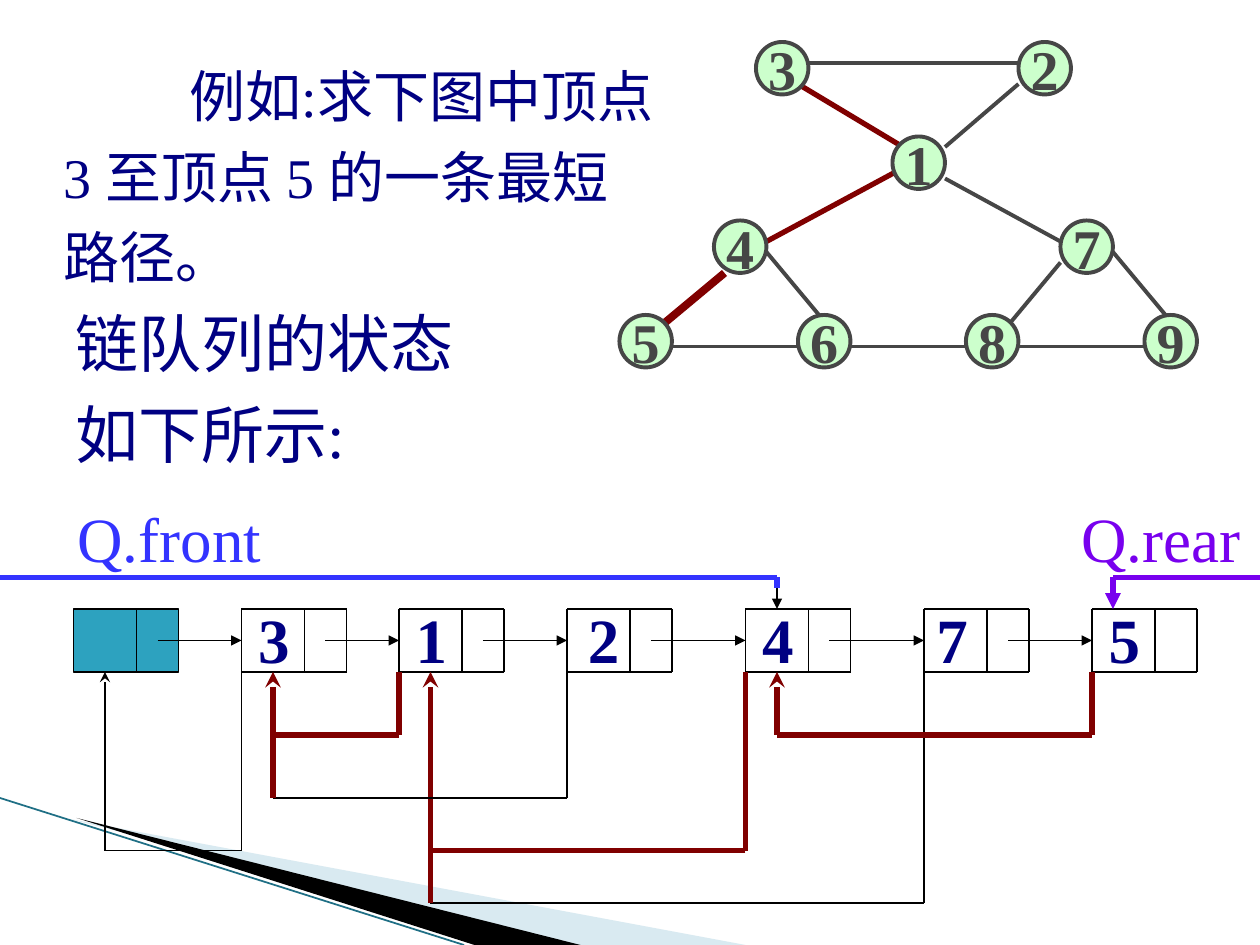
"""Shortest path in a graph, with the states of its linked queue."""
from dataclasses import dataclass
from itertools import pairwise

from lxml.etree import SubElement
from pptx import Presentation
from pptx.dml.color import RGBColor as RGB
from pptx.enum.shapes import MSO_CONNECTOR as Conn, MSO_SHAPE as Shape
from pptx.enum.text import MSO_ANCHOR as Anchor, PP_ALIGN as Align
from pptx.oxml.ns import qn
from pptx.util import Emu, Inches, Pt

UNIT = Inches(1) // 12
COLS, ROWS = 120, 90
CELL_W, CELL_H, DIVIDER, LINK = 10, 6, 6, 8
CELL_TOP = 58
CELL_COLS = (7, 23, 38, 54, 71, 88, 104)

Point = tuple[float, float]


@dataclass(frozen=True)
class Theme:
    font: str = "Times New Roman"
    navy: str = "000082"
    black: str = "000000"
    gray: str = "464646"
    red: str = "800000"
    blue: str = "3333FF"
    violet: str = "7800EE"
    mint: str = "CCFFCC"
    teal: str = "2DA2BF"
    pale: str = "A0CBDC"
    edge: str = "1F6F85"
    body: float = 32
    large: float = 36
    thin: float = 1
    medium: float = 2.25
    thick: float = 3
    heavy: float = 4.5


T = Theme()


@dataclass(frozen=True)
class Route:
    points: tuple[Point, ...]
    ink: str = T.black
    width: float = T.thin
    head: str | None = None


@dataclass(frozen=True)
class Node:
    label: str
    col: float
    row: float


@dataclass(frozen=True)
class Run:
    text: str
    ink: str = T.navy
    bold: bool = False


NODES = (Node("3", 72, 4), Node("2", 97, 4), Node("1", 85, 13),
         Node("4", 68, 21), Node("7", 101, 21), Node("5", 59, 30),
         Node("6", 76, 30), Node("8", 92, 30), Node("9", 109, 30))

PLAIN_EDGES = (((77, 6), (97, 6)), ((97, 8), (90, 14)), ((90, 17), (101, 23)),
               ((101, 25), (96, 31)), ((106, 24), (111, 30)), ((73, 24), (78, 30)),
               ((64, 33), (77, 33)), ((81, 33), (92, 33)), ((97, 33), (109, 33)))
EDGES = tuple(Route(e, T.gray, T.medium) for e in PLAIN_EDGES) + (
    Route(((76, 8), (86, 14)), T.red, T.thick),
    Route(((86, 16), (73, 23)), T.red, T.thick),
    Route(((69, 26), (63, 31)), T.red, T.heavy))

POINTERS = (
    Route(((88, 64), (88, 86), (41, 86))),
    Route(((41, 86), (41, 64)), T.red, T.thick, "stealth"),
    Route(((71, 64), (71, 81), (41, 81)), T.red, T.thick),
    Route(((54, 64), (54, 76), (26, 76))),
    Route(((26, 76), (26, 64)), T.red, T.thick, "stealth"),
    Route(((23, 64), (23, 81), (10, 81), (10, 64)), head="stealth"),
    Route(((38, 64), (38, 70), (26, 70)), T.red, T.thick),
    Route(((104, 64), (104, 70), (74, 70), (74, 64)), T.red, T.thick, "stealth"),
    Route(((0, 55), (74, 55), (74, 56)), T.blue, T.thick),
    Route(((74, 56), (74, 58)), head="triangle"),
    Route(((120, 55), (106, 55), (106, 58)), T.violet, T.thick, "triangle"))


def at(*cells: float) -> list[Emu]:
    return [Emu(round(c * UNIT)) for c in cells]


def draw_route(s, route: Route) -> None:
    segments = list(pairwise(route.points))
    for i, (a, b) in enumerate(segments, 1):
        c = s.shapes.add_connector(Conn.STRAIGHT, *at(*a, *b))
        c.line.color.rgb = RGB.from_string(route.ink)
        c.line.width = Pt(route.width)
        if route.head and i == len(segments):
            SubElement(c.line._get_or_add_ln(), qn("a:tailEnd"), type=route.head)
        SubElement(c._element.spPr, qn("a:effectLst"))


def paint(sp, fill: str, line: str | None = None, width: float = T.thin) -> None:
    sp.shadow.inherit = False
    sp.fill.solid()
    sp.fill.fore_color.rgb = RGB.from_string(fill)
    if line:
        sp.line.color.rgb = RGB.from_string(line)
        sp.line.width = Pt(width)
    else:
        sp.line.fill.background()


def draw_wedge(s, points: tuple[Point, ...], fill: str, alpha: int = 100) -> None:
    start, *rest = [at(*pt) for pt in points]
    fb = s.shapes.build_freeform(*start, scale=1.0)
    fb.add_line_segments(rest, close=True)
    sp = fb.convert_to_shape()
    paint(sp, fill)
    if alpha < 100:
        clr = sp._element.spPr.find(qn("a:solidFill"))[0]
        SubElement(clr, qn("a:alpha"), val=str(alpha * 1000))


def add_run(p, run: Run, size: float) -> None:
    r = p.add_run()
    r.text = run.text
    r.font.name, r.font.size, r.font.bold = T.font, Pt(size), run.bold
    r.font.color.rgb = RGB.from_string(run.ink)


def draw_text(s, box: tuple[float, ...], runs: list[Run], size: float,
              spacing: float = 1.0, indent: float = 0, tabs: tuple[float, ...] = ()) -> None:
    tf = s.shapes.add_textbox(*at(*box)).text_frame
    tf.word_wrap = True
    p = tf.paragraphs[0]
    pPr = p._p.get_or_add_pPr()
    if indent:
        pPr.set("indent", str(at(indent)[0]))
    if tabs:
        stops = SubElement(pPr, qn("a:tabLst"))
        for pos in at(*tabs):
            SubElement(stops, qn("a:tab"), pos=str(pos), algn="l")
    p.line_spacing = spacing
    for run in runs:
        add_run(p, run, size)


def draw_node(s, node: Node) -> None:
    sp = s.shapes.add_shape(Shape.OVAL, *at(node.col, node.row, 5, 5))
    paint(sp, T.mint, T.gray, T.medium)
    tf = sp.text_frame
    tf.word_wrap, tf.vertical_anchor = False, Anchor.MIDDLE
    p = tf.paragraphs[0]
    p.alignment = Align.CENTER
    add_run(p, Run(node.label, T.gray, True), T.body)


def draw_cell(s, col: float, is_head: bool) -> None:
    top, bottom, right = CELL_TOP, CELL_TOP + CELL_H, col + CELL_W
    if is_head:
        sp = s.shapes.add_shape(Shape.RECTANGLE, *at(col, top, CELL_W, CELL_H))
        paint(sp, T.teal, T.black)
    else:
        draw_route(s, Route(((col, top), (right, top), (right, bottom),
                             (col, bottom), (col, top))))
    draw_route(s, Route(((col + DIVIDER, top), (col + DIVIDER, bottom))))


def main() -> None:
    prs = Presentation()
    prs.slide_width, prs.slide_height = at(COLS, ROWS)
    s = prs.slides.add_slide(prs.slide_layouts[6])

    draw_wedge(s, ((6.6, 78), (71, 90), (54.7, 90)), T.pale, 40)
    draw_wedge(s, ((7.3, 77.9), (55.3, 90), (45.2, 90)), T.black)
    draw_route(s, Route(((0, 76), (44.2, 90)), T.edge))

    draw_text(s, (4.9, 4, 59, 24.2), [Run("例如:求下图中顶点 3 至顶点 5 的一条最短路径。")],
              T.body, 1.2, indent=12)
    draw_text(s, (6, 27, 44, 18.5), [Run("链队列的状态如下所示:")], T.large, 1.2)
    draw_text(s, (0, 47, COLS, 8.4), [Run("\tQ.front", T.blue), Run("\tQ.rear", T.violet)],
              T.large, tabs=(6.2, 101.8))

    for route in EDGES:
        draw_route(s, route)
    for node in NODES:
        draw_node(s, node)

    for col in CELL_COLS:
        draw_cell(s, col, col == CELL_COLS[0])
    for col, following in pairwise(CELL_COLS):
        y = CELL_TOP + CELL_H / 2
        draw_route(s, Route(((col + LINK, y), (following, y)), head="triangle"))
    draw_text(s, (22, 56.6, 90, 8.4), [Run(f"\t{d}", bold=True) for d in "312475"],
              T.large, tabs=(1.4, 16.4, 32.8, 49.4, 66, 82.4))
    for route in POINTERS:
        draw_route(s, route)

    prs.save("out.pptx")


if __name__ == "__main__":
    main()
